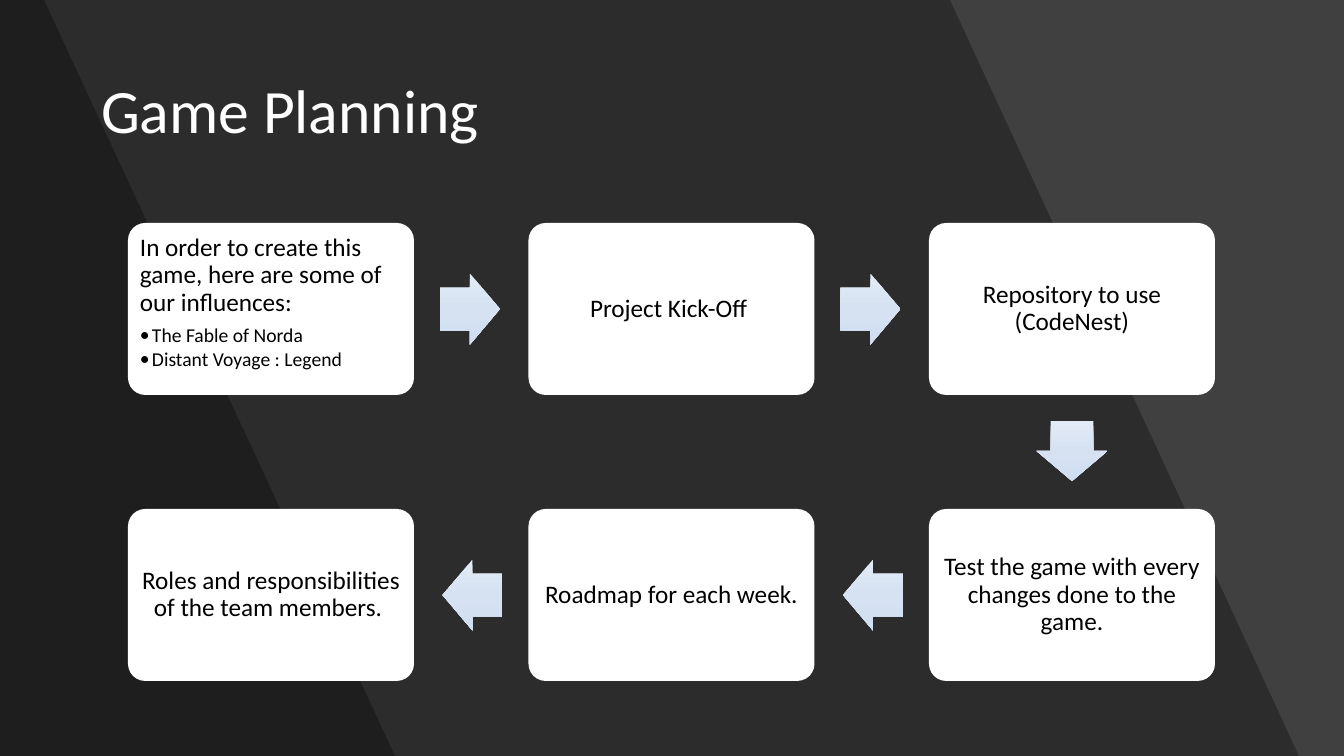
from copy import deepcopy

from lxml import etree
from pptx import Presentation, util as u
from pptx.dml.color import RGBColor
from pptx.enum import shapes, text
from pptx.oxml.ns import qn

TITLE = "Game Planning"
# Steps in reading order of the flow: (column, row, text, bullets)
STEPS = [
    (0, 0, "In order to create this game, here are some of our influences:",
     ["The Fable of Norda", "Distant Voyage : Legend"]),
    (1, 0, "Project Kick-Off ", []),
    (2, 0, "Repository to use (CodeNest)", []),
    (2, 1, "Test the game with every changes done to the game.", []),
    (1, 1, "Roadmap for each week.", []),
    (0, 1, "Roles and responsibilities of the team members. ", []),
]
# Slanted backdrop bands: (top right x, bottom right x)
BANDS = [(950, 1299), (44, 395)]
COLORS = {"backdrop": "404040", "band": "000000", "title": "FFFFFF",
          "box": "FFFFFF", "text": "000000"}
ARROW_STOPS = [(0, "E3EBF6"), (0.5, "D6E2F2"), (1, "D0DEF1")]
FONT = "Calibri"

SLIDE_W, SLIDE_H = 1344, 756
GRID_X, GRID_Y, LAST_COLUMN_X = 128, 223, 929
BOX_W, BOX_H = 286, 172
STEP_X, STEP_Y = (LAST_COLUMN_X - GRID_X) / 2, 286
ARROW_LEN, ARROW_W, ARROW_GAP = 60, 71, 26
BOX_INSET, BULLET_INDENT = 7, 12


def px(length):
    return u.Emu(round(length * 914400 / 100.8))


def rgb(name):
    return RGBColor.from_string(COLORS[name])


def style(paragraph, size, color):
    paragraph.font.name = FONT
    paragraph.font.size = u.Pt(size)
    paragraph.font.color.rgb = rgb(color)
    paragraph.line_spacing = 0.9


def add_band(slide, top_x, bottom_x):
    builder = slide.shapes.build_freeform(0, 0, scale=px(1))
    builder.add_line_segments([(top_x, 0), (bottom_x, SLIDE_H), (0, SLIDE_H)])
    band = builder.convert_to_shape()
    band.shadow.inherit = False
    band.line.fill.background()
    band.fill.solid()
    band.fill.fore_color.rgb = rgb("band")
    color = band._element.spPr.find(".//" + qn("a:srgbClr"))
    etree.SubElement(color, qn("a:alpha"), val="30000")


def add_bullet(frame, line):
    paragraph = frame.add_paragraph()
    paragraph.text = line
    paragraph.level = 1
    paragraph.alignment = text.PP_ALIGN.LEFT
    paragraph.space_after = u.Pt(2.1)
    style(paragraph, 14, "text")
    props = paragraph._p.get_or_add_pPr()
    props.set("marL", str(px(BULLET_INDENT)))
    props.set("indent", str(-px(BULLET_INDENT)))
    etree.SubElement(props, qn("a:buFont"), typeface=FONT)
    etree.SubElement(props, qn("a:buChar"), char="•")
    # Bullet properties come before the default run properties
    props.append(props.find(qn("a:defRPr")))


def add_step(slide, column, row, heading, bullets):
    box = slide.shapes.add_shape(
        shapes.MSO_SHAPE.ROUNDED_RECTANGLE,
        px(GRID_X + column * STEP_X), px(GRID_Y + row * STEP_Y), px(BOX_W), px(BOX_H))
    box.adjustments[0] = 0.1
    box.shadow.inherit = False
    box.line.fill.background()
    box.fill.solid()
    box.fill.fore_color.rgb = rgb("box")

    frame = box.text_frame
    frame.word_wrap = True
    frame.margin_left = frame.margin_right = px(BOX_INSET)
    frame.margin_top = frame.margin_bottom = px(BOX_INSET)
    frame.vertical_anchor = text.MSO_ANCHOR.TOP if bullets else text.MSO_ANCHOR.MIDDLE
    first = frame.paragraphs[0]
    first.text = heading
    first.alignment = text.PP_ALIGN.LEFT if bullets else text.PP_ALIGN.CENTER
    style(first, 18, "text")
    if bullets:
        first.space_after = u.Pt(6.3)
    for line in bullets:
        add_bullet(frame, line)


def add_arrow(slide, start, end):
    """Point from one step to the next, with the tail a fixed gap off the first box."""
    dx, dy = end[0] - start[0], end[1] - start[1]
    reach = ARROW_GAP + ARROW_LEN / 2
    center_x = GRID_X + start[0] * STEP_X + BOX_W / 2 + dx * (BOX_W / 2 + reach)
    center_y = GRID_Y + start[1] * STEP_Y + BOX_H / 2 + dy * (BOX_H / 2 + reach)
    arrow = slide.shapes.add_shape(
        shapes.MSO_SHAPE.RIGHT_ARROW, px(center_x - ARROW_LEN / 2),
        px(center_y - ARROW_W / 2), px(ARROW_LEN), px(ARROW_W))
    arrow.rotation = {(1, 0): 0, (0, 1): 90, (-1, 0): 180}[dx, dy]
    arrow.adjustments[0], arrow.adjustments[1] = 0.6, 0.5
    arrow.shadow.inherit = False
    arrow.line.fill.background()

    arrow.fill.gradient()
    arrow.fill.gradient_angle = 270
    gradient = arrow._element.spPr.find(qn("a:gradFill"))
    gradient.set("rotWithShape", "0")
    stop_list = gradient.find(qn("a:gsLst"))
    stop_list.insert(1, deepcopy(stop_list[0]))
    for stop, (position, color) in zip(arrow.fill.gradient_stops, ARROW_STOPS):
        stop.position = position
        stop.color.rgb = RGBColor.from_string(color)


def main():
    deck = Presentation()
    deck.slide_width, deck.slide_height = px(SLIDE_W), px(SLIDE_H)
    slide = deck.slides.add_slide(deck.slide_layouts[5])
    slide.background.fill.solid()
    slide.background.fill.fore_color.rgb = rgb("backdrop")
    for band in BANDS:
        add_band(slide, *band)

    title = slide.shapes.title
    title.left, title.top, title.width, title.height = px(91), px(41), px(1160), px(146)
    title.text_frame.text = TITLE
    title.text_frame.vertical_anchor = text.MSO_ANCHOR.MIDDLE
    heading = title.text_frame.paragraphs[0]
    heading.alignment = text.PP_ALIGN.LEFT
    style(heading, 44, "title")
    slide.shapes._spTree.append(title._element)  # in front of the bands

    for step in STEPS:
        add_step(slide, *step)
    for start, end in zip(STEPS, STEPS[1:]):
        add_arrow(slide, start[:2], end[:2])
    deck.save("out.pptx")


if __name__ == "__main__":
    main()
